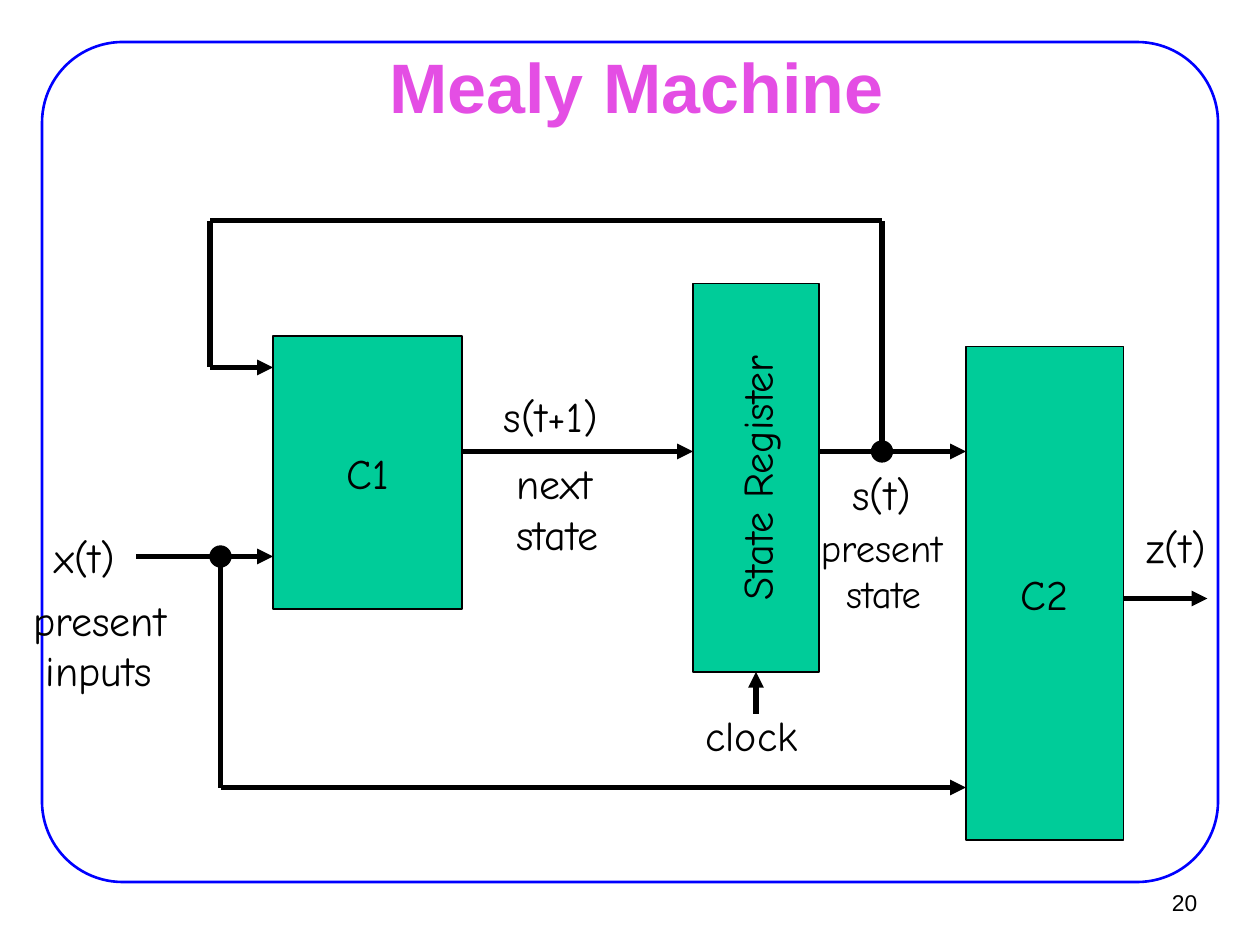
from dataclasses import dataclass
from itertools import pairwise

from lxml import etree
from pptx import Presentation
from pptx.dml.color import RGBColor
from pptx.enum.shapes import MSO_CONNECTOR, MSO_SHAPE
from pptx.enum.text import MSO_ANCHOR, MSO_AUTO_SIZE, PP_ALIGN
from pptx.oxml.ns import qn
from pptx.util import Inches, Pt

RECT, ROUNDED, OVAL = MSO_SHAPE.RECTANGLE, MSO_SHAPE.ROUNDED_RECTANGLE, MSO_SHAPE.OVAL
STRAIGHT = MSO_CONNECTOR.STRAIGHT
LEFT, CENTER, RIGHT = PP_ALIGN.LEFT, PP_ALIGN.CENTER, PP_ALIGN.RIGHT
TOP, MIDDLE = MSO_ANCHOR.TOP, MSO_ANCHOR.MIDDLE
GROW, FIXED = MSO_AUTO_SIZE.SHAPE_TO_FIT_TEXT, MSO_AUTO_SIZE.NONE

SLIDE_W, SLIDE_H = Inches(10), Inches(7.5)


@dataclass(frozen=True)
class Theme:
    title = dict(name="Arial", size=Pt(40), bold=True, color="E44EE4")
    label = dict(name="Comic Neue", size=Pt(24), color="000000")
    small_label = dict(name="Comic Neue", size=Pt(22), color="000000")
    page = dict(name="Arial", size=Pt(13), color="000000")
    frame, block, ink = "0000FF", "00CC99", "000000"
    frame_line, thin_line, wire_line = 1.5, 0.75, 3


@dataclass(frozen=True)
class Box:
    x: float
    y: float
    w: float
    h: float

    def cell(self, x, y, w, h, cols=1, rows=1):
        """Box at a place in this one, counted in its columns and rows."""
        cw, rh = self.w / cols, self.h / rows
        return Box(self.x + x * cw, self.y + y * rh, w * cw, h * rh)

    def emu(self):
        return [round(v) for v in (self.x, self.y, self.w, self.h)]


THEME = Theme()
COLS, ROWS = 112, 59  # diagram grid, 12 cells to the inch

# Grid boxes: left, top, width, height
BLOCKS = [("C1", (22, 11, 18, 26), 0),
          ("State Register", (62, 6, 12, 37), 270),
          ("C2", (88, 12, 15, 47), 0)]
# Wire points and whether the last one carries an arrowhead
WIRES = [([(9, 32), (22, 32)], True),
         ([(17, 32), (17, 54), (88, 54)], True),
         ([(40, 22), (62, 22)], True),
         ([(68, 47), (68, 43)], True),
         ([(74, 22), (80, 22), (88, 22)], True),
         ([(80, 22), (80, 0), (16, 0), (16, 14), (22, 14)], True),
         ([(103, 36), (111, 36)], True)]
WIRES = [points for points, _ in WIRES]
JUNCTIONS = [(17, 32), (80, 22)]
# Lines of text, grid box, style, indent of the second line in inches
LABELS = [(["x(t)"], (0, 29, 9.6, 6.8), THEME.label, 0),
          (["s(t+1)"], (42.8, 15.6, 12.8, 6.8), THEME.label, 0),
          (["s(t)"], (76, 23, 9.2, 6.8), THEME.label, 0),
          (["z(t)"], (104, 28.1, 9.4, 6.8), THEME.label, 0),
          (["clock"], (62, 46, 11.9, 6.8), THEME.label, 0),
          (["present", "state"], (73, 28.3, 15.6, 11.4), THEME.small_label, 0.2),
          (["present", "inputs"], (-2, 35, 16.8, 12.4), THEME.label, 0.1),
          (["next", "state"], (44, 22, 12.4, 12.4), THEME.label, 0)]


def write(sp, lines, style, align=LEFT, anchor=TOP, indent=0, **frame):
    tf = sp.text_frame
    for key, value in {"word_wrap": False, "vertical_anchor": anchor, **frame}.items():
        setattr(tf, key, value)
    for i, line in enumerate(lines):
        p = tf.add_paragraph() if i else tf.paragraphs[0]
        p.alignment = align
        if i and indent:
            p._p.get_or_add_pPr().set("marL", str(Inches(indent)))
        r = p.add_run()
        r.text = line
        for key, value in style.items():
            if key == "color":
                r.font.color.rgb = RGBColor.from_string(value)
            else:
                setattr(r.font, key, value)


def add_shape(s, kind, box, fill, line, width):
    sp = s.shapes.add_shape(kind, *box.emu())
    sp.shadow.inherit = False
    if fill:
        sp.fill.solid()
        sp.fill.fore_color.rgb = RGBColor.from_string(fill)
    else:
        sp.fill.background()
    sp.line.color.rgb = RGBColor.from_string(line)
    sp.line.width = Pt(width)
    return sp


def add_block(s, box, name, rotation):
    if rotation:  # swap the sides about the centre before turning
        cx, cy = box.x + box.w / 2, box.y + box.h / 2
        box = Box(cx - box.h / 2, cy - box.w / 2, box.h, box.w)
    sp = add_shape(s, RECT, box, THEME.block, THEME.ink, THEME.thin_line)
    sp.rotation = rotation
    write(sp, [name], THEME.label, CENTER, MIDDLE)


def add_wire(s, box, points):
    corners = [box.cell(x, y, 0, 0, COLS, ROWS).emu()[:2] for x, y in points]
    for start, end in pairwise(corners):
        wire = s.shapes.add_connector(STRAIGHT, *start, *end)
        wire.line.color.rgb = RGBColor.from_string(THEME.ink)
        wire.line.width = Pt(THEME.wire_line)
        etree.SubElement(wire._element.spPr, qn("a:effectLst"))
    # Arrowhead on the last stretch
    etree.SubElement(wire.line._get_or_add_ln(), qn("a:tailEnd"), type="triangle")


def draw_frame(s, box):
    sp = add_shape(s, ROUNDED, box, None, THEME.frame, THEME.frame_line)
    sp.adjustments[0] = 0.096


def draw_title(s, box, text):
    title = s.shapes.title
    title.left, title.top, title.width, title.height = box.emu()
    write(title, [text], THEME.title, CENTER, MIDDLE, word_wrap=True, auto_size=FIXED)


def draw_diagram(s, box):
    # Logic blocks and the register
    for name, cells, rotation in BLOCKS:
        add_block(s, box.cell(*cells, COLS, ROWS), name, rotation)
    # Signals
    for points in WIRES:
        add_wire(s, box, points)
    for x, y in JUNCTIONS:
        dot = box.cell(x - 1, y - 1, 2, 2, COLS, ROWS)
        add_shape(s, OVAL, dot, THEME.ink, THEME.ink, THEME.thin_line)
    # Signal names
    for lines, cells, style, indent in LABELS:
        tb = s.shapes.add_textbox(*box.cell(*cells, COLS, ROWS).emu())
        write(tb, lines, style, indent=indent, auto_size=GROW)


def draw_page_number(s, box, number):
    tb = s.shapes.add_textbox(*box.emu())
    write(tb, [str(number)], THEME.page, RIGHT, MIDDLE)


def main():
    prs = Presentation()
    prs.slide_width, prs.slide_height = SLIDE_W, SLIDE_H
    s = prs.slides.add_slide(prs.slide_layouts.get_by_name("Title Only"))
    page = Box(0, 0, SLIDE_W, SLIDE_H)
    draw_frame(s, page.cell(4, 4, 112, 80, 120, 90))
    draw_title(s, page.cell(0.08, 0.06, 0.85, 0.06), "Mealy Machine")
    draw_diagram(s, page.cell(4, 21, COLS, ROWS, 120, 90))
    draw_page_number(s, page.cell(0.9, 0.93, 0.06, 0.05), 20)
    prs.save("out.pptx")


if __name__ == "__main__":
    main()
